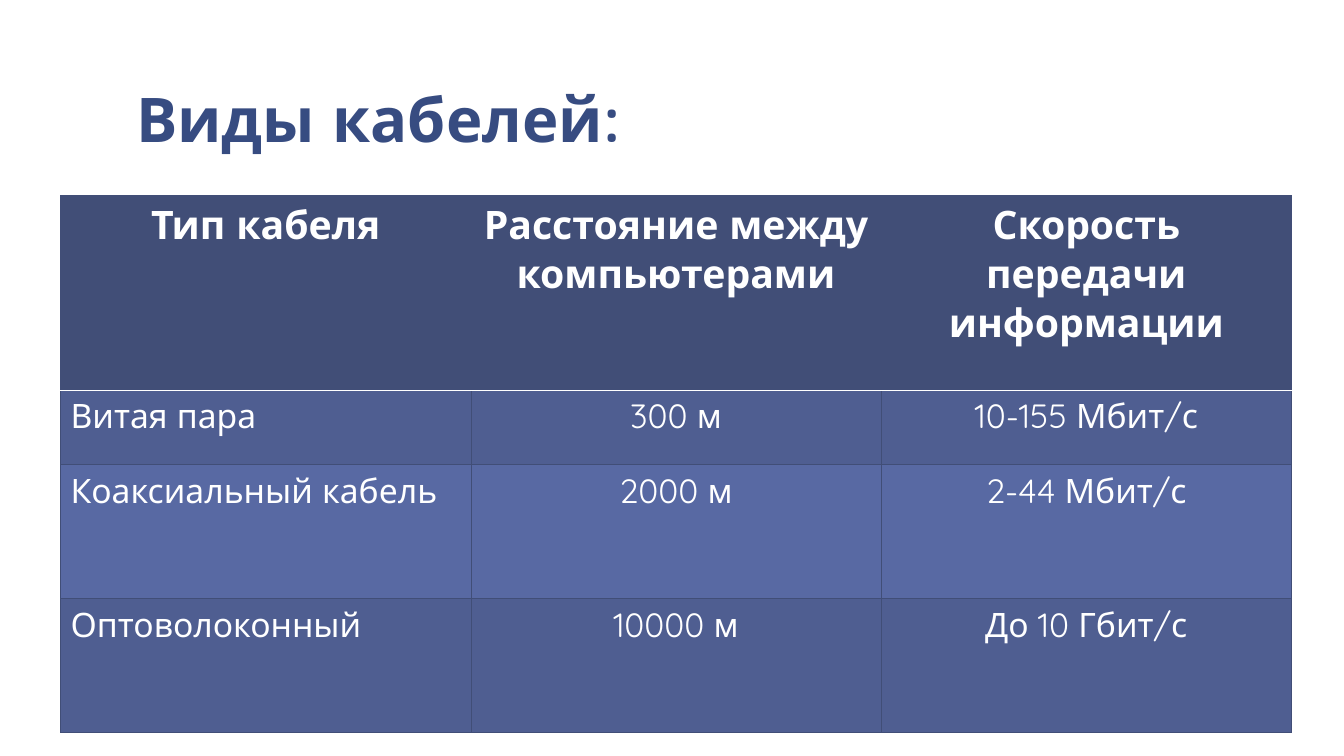
from dataclasses import dataclass

from lxml import etree
from pptx import Presentation
from pptx import util as u
from pptx.dml.color import RGBColor
from pptx.enum import text
from pptx.oxml import ns

GRID_STEP = 0.1
FONT = "Quicksand"
NAVY, SLATE, INDIGO = "414E77", "4F5E91", "5869A3"
TITLE_BLUE, WHITE = "374C81", "FFFFFF"
COLUMN_WIDTH = 40.7


@dataclass(frozen=True)
class CableRow:
    cable: str
    distance: str
    speed: str
    height: float
    fill: str
    heading: bool = False


CABLES = [
    CableRow("Тип кабеля", "Расстояние между компьютерами",
             "Скорость передачи информации", 19.3, NAVY, heading=True),
    CableRow("Витая пара", "300 м", "10-155 Мбит/с", 7.4, SLATE),
    CableRow("Коаксиальный кабель", "2000 м", "2-44 Мбит/с", 13.3, INDIGO),
    CableRow("Оптоволоконный", "10000 м", "До 10 Гбит/с", 13.3, SLATE),
]


def grid(steps: float) -> u.Length:
    return u.Inches(steps * GRID_STEP)


def color(value: str) -> RGBColor:
    return RGBColor.from_string(value)


def write(frame, words: str, *, size: float, ink: str = WHITE, bold: bool = False,
          align=text.PP_ALIGN.LEFT, spacing: float = 1.0) -> None:
    frame.word_wrap = True
    paragraph = frame.paragraphs[0]
    paragraph.alignment = align
    paragraph.line_spacing = spacing
    run = paragraph.add_run()
    run.text = words
    run.font.name = FONT
    run.font.size = u.Pt(size)
    run.font.bold = bold
    run.font.color.rgb = color(ink)


def add_border(cell, side: str, ink: str, points: float) -> None:
    properties = cell._tc.get_or_add_tcPr()
    line = etree.SubElement(properties, ns.qn(f"a:ln{side}"), w=str(u.Pt(points)))
    solid = etree.SubElement(line, ns.qn("a:solidFill"))
    etree.SubElement(solid, ns.qn("a:srgbClr"), val=ink)


def draw_title(slide, words: str) -> None:
    title = slide.shapes.add_textbox(grid(12.2), grid(0.8), grid(111.1), grid(15.3))
    frame = title.text_frame
    frame.vertical_anchor = text.MSO_ANCHOR.BOTTOM
    frame.margin_left = frame.margin_right = grid(1.3)
    frame.margin_top = frame.margin_bottom = grid(0.7)
    write(frame, words, size=44, ink=TITLE_BLUE, bold=True, spacing=0.85)


def draw_cell(cell, words: str, row: CableRow, *, centred: bool, below_heading: bool) -> None:
    rule = (WHITE, 1)
    edge = (NAVY, 0.5)
    add_border(cell, "L", *edge)
    add_border(cell, "R", *edge)
    add_border(cell, "T", *(rule if below_heading else edge))
    add_border(cell, "B", *(rule if row.heading else edge))
    cell.fill.solid()
    cell.fill.fore_color.rgb = color(row.fill)
    write(cell.text_frame, words, size=28 if row.heading else 24, bold=row.heading,
          align=text.PP_ALIGN.CENTER if centred else text.PP_ALIGN.LEFT)


def draw_cables(slide, cables: list[CableRow]) -> None:
    height = sum(row.height for row in cables)
    table = slide.shapes.add_table(len(cables), 3, grid(6), grid(19.4),
                                   grid(3 * COLUMN_WIDTH), grid(height)).table
    for column in table.columns:
        column.width = grid(COLUMN_WIDTH)
    for r, row in enumerate(cables):
        table.rows[r].height = grid(row.height)
        for c, words in enumerate((row.cable, row.distance, row.speed)):
            draw_cell(table.cell(r, c), words, row, centred=row.heading or c > 0,
                      below_heading=r > 0 and cables[r - 1].heading)


def main() -> None:
    deck = Presentation()
    deck.slide_width, deck.slide_height = u.Inches(13.33), u.Inches(7.5)
    slide = deck.slides.add_slide(deck.slide_layouts[6])
    draw_title(slide, "Виды кабелей:")
    draw_cables(slide, CABLES)
    deck.save("out.pptx")


if __name__ == "__main__":
    main()
